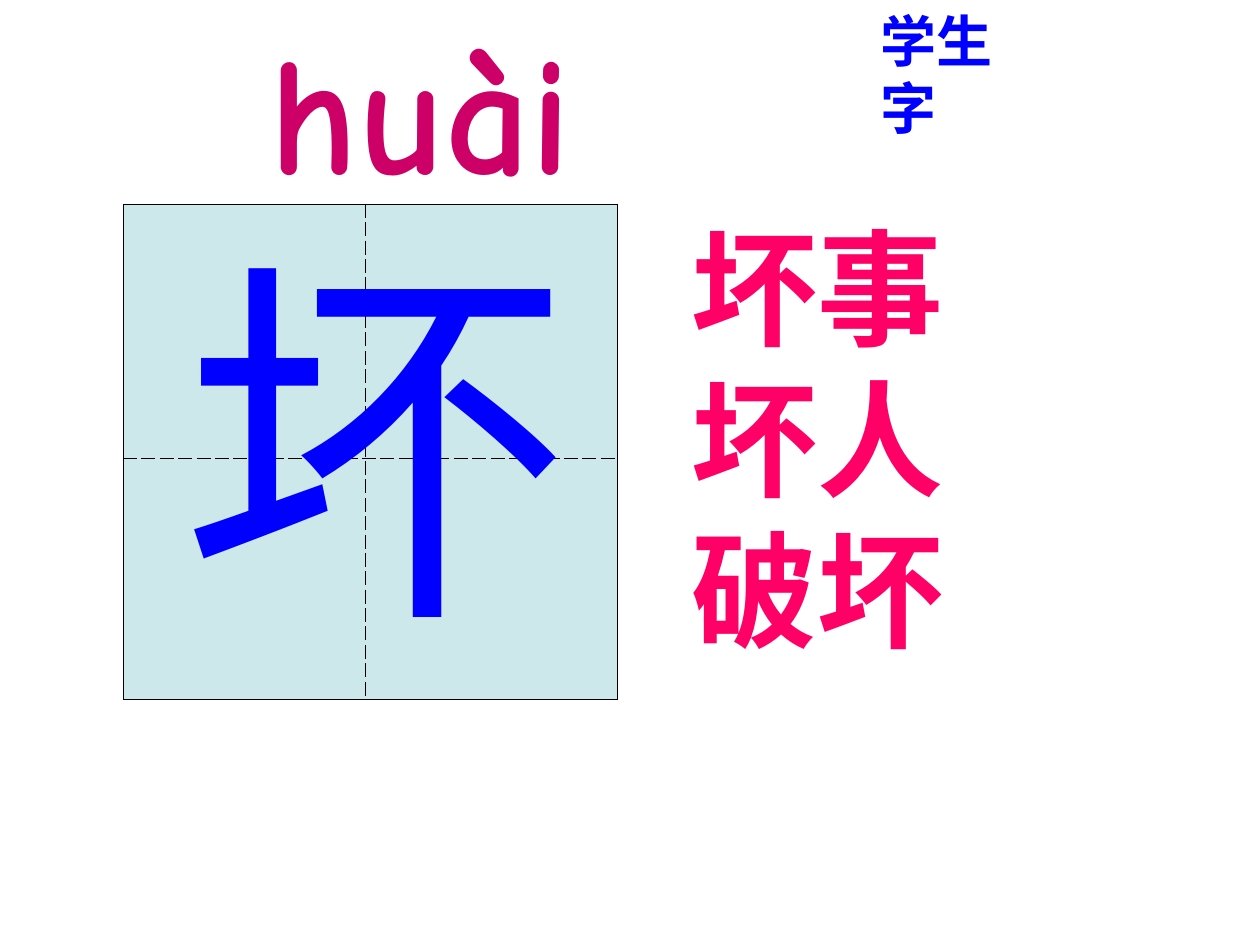
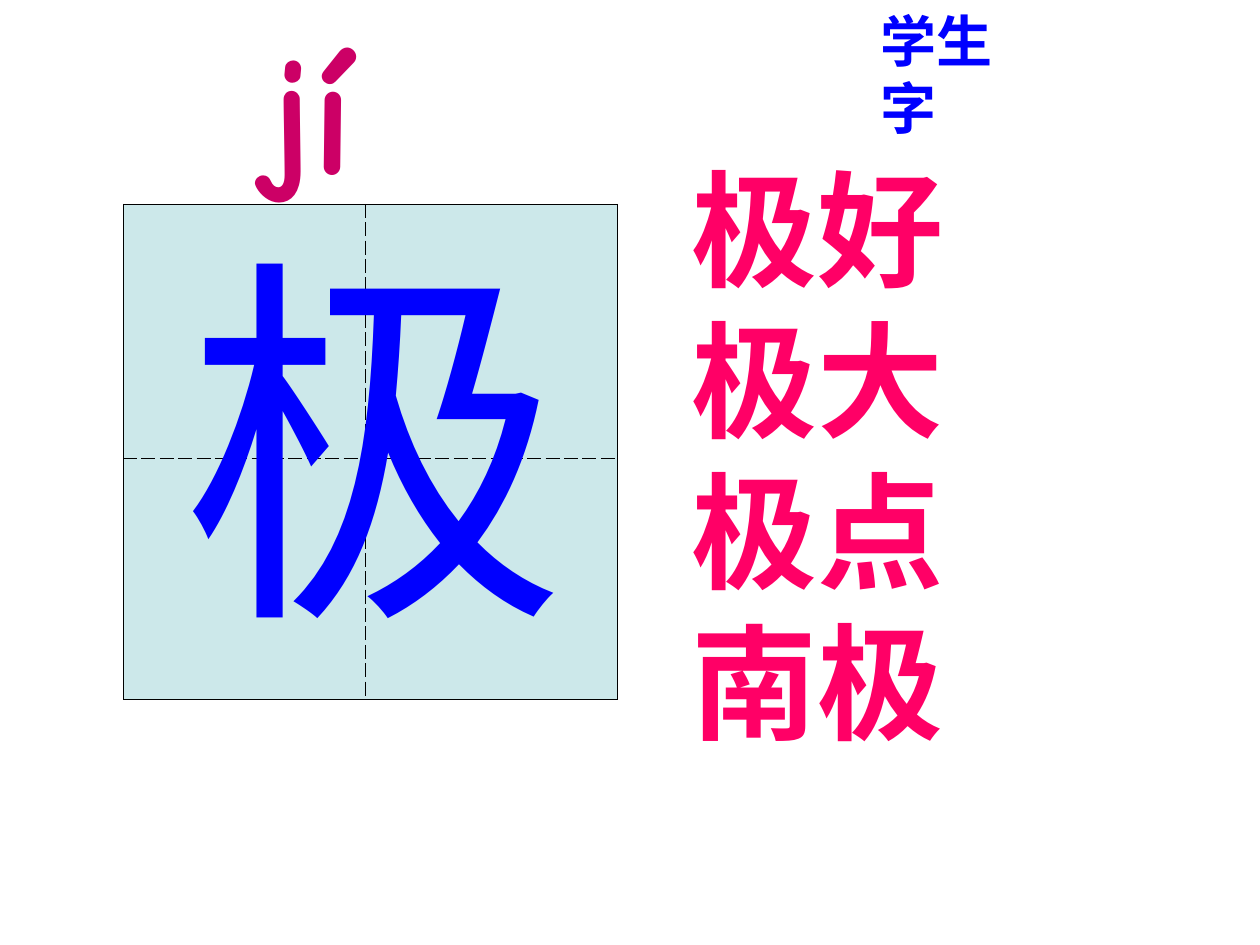
from lxml import etree
from pptx import Presentation
from pptx.dml.color import RGBColor
from pptx.enum.text import MSO_AUTO_SIZE as AutoSize
from pptx.oxml.ns import qn
from pptx.util import Inches, Pt

BLUE = RGBColor(0x00, 0x00, 0xFF)
PINYIN_RED = RGBColor(0xCC, 0x00, 0x66)
WORD_PINK = RGBColor(0xFF, 0x00, 0x66)
GRID_FILL = RGBColor(0xCC, 0xE8, 0xEA)
GRID_LINE = RGBColor(0x00, 0x00, 0x00)

GRID_LEFT, GRID_TOP = 0.98, 1.62
GRID_COLUMNS = (1.92, 2.0)
GRID_ROWS = (2.02, 1.91)

# Pinyin, character, example words, and the box of the words (top, height)
LESSONS = (
    ("huài", "坏", ("坏事", "坏人", "破坏"), (1.62, 3.7)),
    ("jí", "极", ("极好", "极大", "极点", "南极"), (1.15, 4.9)),
)


def add_text(slide, box, *lines, size, color, font="Arial", bold=False, wrap=True):
    """Add a text box with one paragraph for each line."""
    frame = slide.shapes.add_textbox(*map(Inches, box)).text_frame
    frame.word_wrap = wrap
    frame.auto_size = AutoSize.SHAPE_TO_FIT_TEXT
    frame.text = "\n".join(lines)
    for paragraph in frame.paragraphs:
        run_font = paragraph.runs[0].font
        run_font.name = font
        run_font.size = Pt(size)
        run_font.bold = bold
        run_font.color.rgb = color


def set_borders(cell, dashed_sides):
    """Draw thin cell borders, dashed on the given sides."""
    properties = cell._tc.get_or_add_tcPr()
    for position, side in enumerate("LRTB"):
        line = etree.Element(qn(f"a:ln{side}"), w=str(Pt(0.45)))
        fill = etree.SubElement(line, qn("a:solidFill"))
        etree.SubElement(fill, qn("a:srgbClr"), val=str(GRID_LINE))
        dash = "dash" if side in dashed_sides else "solid"
        etree.SubElement(line, qn("a:prstDash"), val=dash)
        properties.insert(position, line)


def add_writing_grid(slide):
    """Add the 2 x 2 practice square with dashed inner lines."""
    box = (GRID_LEFT, GRID_TOP, sum(GRID_COLUMNS), sum(GRID_ROWS))
    table = slide.shapes.add_table(2, 2, *map(Inches, box)).table
    table.first_row = table.horz_banding = False
    for column, width in zip(table.columns, GRID_COLUMNS):
        column.width = Inches(width)
    for row_index, height in enumerate(GRID_ROWS):
        table.rows[row_index].height = Inches(height)
        for column_index in range(len(GRID_COLUMNS)):
            cell = table.cell(row_index, column_index)
            cell.fill.solid()
            cell.fill.fore_color.rgb = GRID_FILL
            set_borders(cell, "RL"[column_index] + "BT"[row_index])


def add_lesson(presentation, pinyin, character, words, words_span):
    """Add the slide that teaches one character."""
    slide = presentation.slides.add_slide(presentation.slide_layouts[6])
    words_top, words_height = words_span
    add_writing_grid(slide)
    add_text(slide, (2.04, 0, 3.75, 1.7), pinyin,
             size=96, color=PINYIN_RED, font="Comic Neue", bold=True)
    add_text(slide, (1.34, 1.56, 3.25, 3.77), character,
             size=220, color=BLUE, wrap=False)
    add_text(slide, (5.39, words_top, 4.25, words_height), *words,
             size=72, color=WORD_PINK, bold=True)
    # Section heading
    add_text(slide, (6.89, 0, 1.53, 0.64), "学生字",
             size=32, color=BLUE, font="Times New Roman", bold=True, wrap=False)


def main():
    presentation = Presentation()
    presentation.slide_width = Inches(10)
    presentation.slide_height = Inches(7.5)
    for lesson in LESSONS:
        add_lesson(presentation, *lesson)
    presentation.save("out.pptx")


if __name__ == "__main__":
    main()
